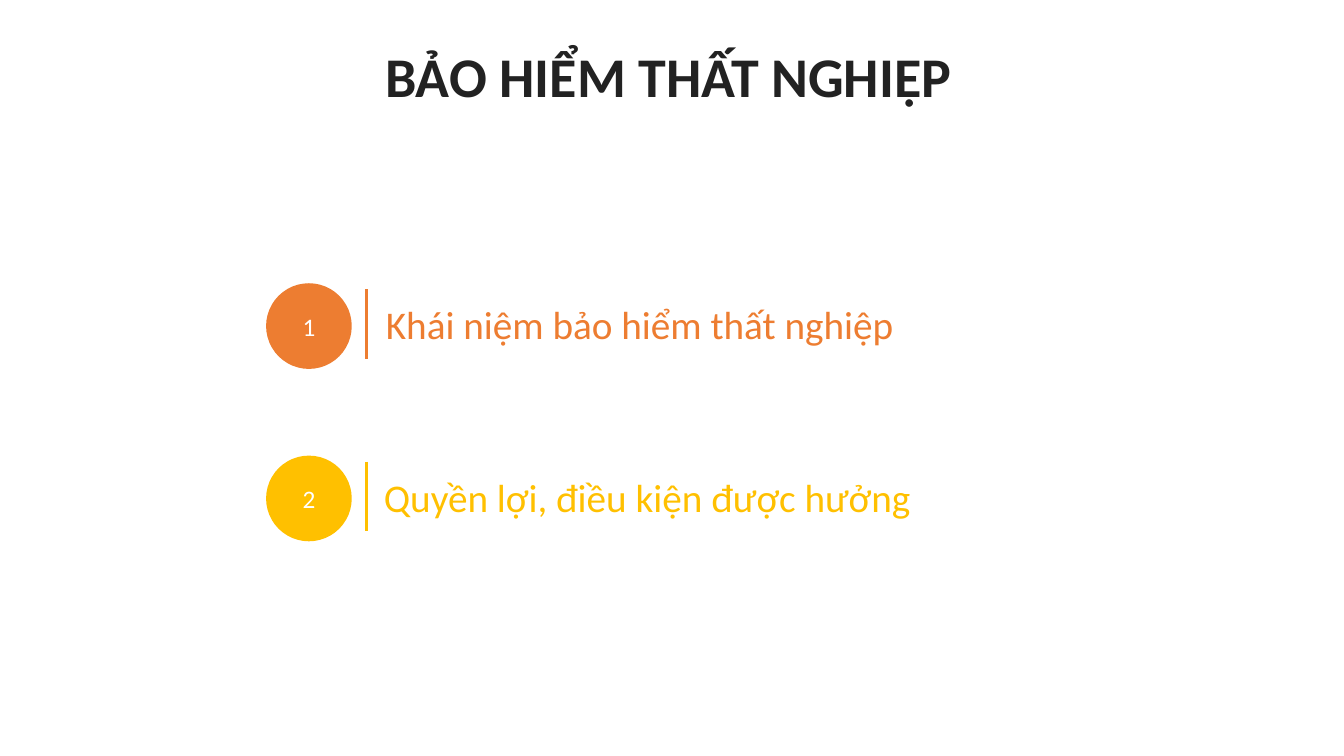
from lxml import etree
from pptx import Presentation, util as u
from pptx.dml.color import RGBColor
from pptx.enum import shapes, text
from pptx.oxml.ns import qn

HUES = {"ink": "222222", "white": "FFFFFF", "first": "ED7D31", "second": "FFC000"}
COLS, ROWS = 40, 30
TOP, STEP = 11.24, 6.84  # first item and distance between items, in rows
ITEMS = [
    # hue, label, label column, label width
    ("first", "Khái niệm bảo hiểm thất nghiệp", 11.19, 16.5),
    ("second", "Quyền lợi, điều kiện được hưởng", 11.13, 21.6),
]


class Deck:
    """Holds the style and the current slide."""

    font = "Calibri"

    def __init__(self):
        """Open a wide deck with one title-only slide."""
        self.prs = Presentation()
        self.prs.slide_width = u.Inches(13.33)
        self.prs.slide_height = u.Inches(7.5)
        self.slide = self.prs.slides.add_slide(self.prs.slide_layouts[5])

    def grid(self, col, row):
        """Turn columns and rows into slide lengths."""
        return (int(self.prs.slide_width * col / COLS),
                int(self.prs.slide_height * row / ROWS))

    def hue(self, name):
        """Look up a colour by name."""
        return RGBColor.from_string(HUES[name])

    def letter(self, shape, words, size, hue, align, anchor, bold=False):
        """Set the words of a shape and format them."""
        frame = shape.text_frame
        frame.text = words
        frame.word_wrap = True
        frame.auto_size = text.MSO_AUTO_SIZE.NONE
        frame.vertical_anchor = anchor
        para = frame.paragraphs[0]
        para.alignment = align
        font = para.runs[0].font
        font.name, font.size, font.bold = self.font, u.Pt(size), bold
        font.color.rgb = self.hue(hue)

    def title(self, words, col, row, wide, high):
        """Place the heading in the title placeholder."""
        head = self.slide.shapes.title
        head.left, head.top = self.grid(col, row)
        head.width, head.height = self.grid(wide, high)
        self.letter(head, words, 40, "ink", text.PP_ALIGN.CENTER,
                    text.MSO_ANCHOR.TOP, bold=True)

    def badge(self, words, hue, col, row, wide, high):
        """Draw a numbered circle."""
        disc = self.slide.shapes.add_shape(
            shapes.MSO_SHAPE.OVAL, *self.grid(col, row), *self.grid(wide, high))
        disc.shadow.inherit = False
        disc.fill.solid()
        disc.fill.fore_color.rgb = self.hue(hue)
        disc.line.fill.background()
        self.letter(disc, words, 18, "white", text.PP_ALIGN.CENTER,
                    text.MSO_ANCHOR.MIDDLE)

    def rule(self, hue, col, row, high):
        """Draw an upright line."""
        bar = self.slide.shapes.add_connector(
            shapes.MSO_CONNECTOR.STRAIGHT,
            *self.grid(col, row), *self.grid(col, row + high))
        bar.line.color.rgb = self.hue(hue)
        bar.line.width = u.Pt(2.25)
        etree.SubElement(bar._element.spPr, qn("a:effectLst"))

    def label(self, words, hue, col, row, wide, high):
        """Add a line of text."""
        box = self.slide.shapes.add_textbox(
            *self.grid(col, row), *self.grid(wide, high))
        self.letter(box, words, 28, hue, text.PP_ALIGN.LEFT, text.MSO_ANCHOR.TOP)


def main():
    """Build the slide and save it."""
    deck = Deck()
    deck.title("BẢO HIỂM THẤT NGHIỆP", 8.34, 1.44, 23.1, 3.08)
    for i, (hue, words, col, wide) in enumerate(ITEMS):
        row = TOP + i * STEP
        deck.badge(str(i + 1), hue, 7.92, row, 2.55, 3.4)
        deck.rule(hue, 10.92, row + 0.24, 2.76)
        deck.label(words, hue, col, row + 0.5, wide, 2.28)
    deck.prs.save("out.pptx")


main()
